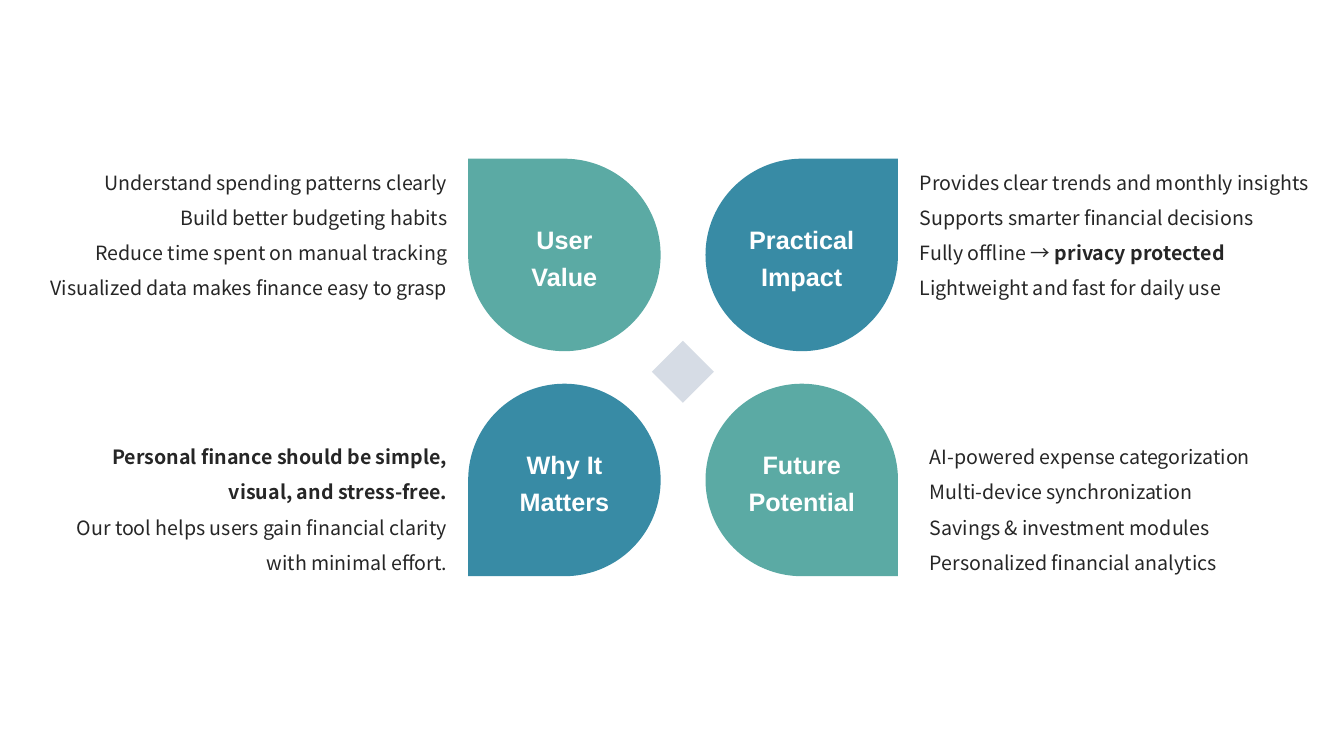
"""Build a four-petal slide on the value and future of a personal finance tool."""
from lxml.etree import SubElement
from pptx import Presentation
from pptx.dml.color import RGBColor
from pptx.enum.shapes import MSO_SHAPE
from pptx.enum.text import MSO_ANCHOR, MSO_AUTO_SIZE, PP_ALIGN
from pptx.oxml.ns import qn
from pptx.util import Cm, Pt

GREEN, BLUE, GREY, INK, WHITE = "5BAAA4", "388BA5", "D6DCE5", "262626", "FFFFFF"
LABEL_FONT, LIST_FONT = "Arial", "Noto Sans CJK SC"

QUADRANTS = [
    {"label": "User Value", "column": 0, "row": 0, "color": GREEN,
     "flip": True, "rotation": 0, "list_left": 0.59, "list_width": 10.69,
     "lines": [[("Understand spending patterns clearly", False)],
               [("Build better budgeting habits", False)],
               [("Reduce time spent on manual tracking", False)],
               [("Visualized data makes finance easy to grasp", False)]]},
    {"label": "Practical Impact", "column": 1, "row": 0, "color": BLUE,
     "flip": False, "rotation": 0, "list_left": 23.18, "list_width": 10.29,
     "lines": [[("Provides clear trends and monthly insights", False)],
               [("Supports smarter financial decisions", False)],
               [("Fully offline → ", False), ("privacy protected", True)],
               [("Lightweight and fast for daily use", False)]]},
    {"label": "Why It Matters", "column": 0, "row": 1, "color": BLUE,
     "flip": True, "rotation": 270, "list_left": 1.35, "list_width": 9.93,
     "lines": [[("Personal finance should be simple, visual, and stress-free.", True)],
               [("Our tool helps users gain financial clarity with minimal effort.", False)]]},
    {"label": "Future Potential", "column": 1, "row": 1, "color": GREEN,
     "flip": False, "rotation": 90, "list_left": 23.43, "list_width": 8.61,
     "lines": [[("AI-powered expense categorization", False)],
               [("Multi-device synchronization", False)],
               [("Savings & investment modules", False)],
               [("Personalized financial analytics", False)]]},
]

PETAL = 4.85
PETAL_LEFTS, PETAL_TOPS = (11.8, 17.78), (4.0, 9.67)
LIST_TOPS, LIST_HEIGHTS = (4.0, 10.92), (4.3, 3.55)
LABEL_WIDTH, LABEL_HEIGHT = 3.58, 2.11
DIAMOND_LEFT, DIAMOND_TOP, DIAMOND = 16.43, 8.59, 1.56


def rgb(color):
    return RGBColor.from_string(color)


def format_paragraph(paragraph, font_name, size, color, alignment, spacing):
    paragraph.alignment = alignment
    paragraph.line_spacing = spacing
    paragraph.font.name = font_name
    paragraph.font.size = Pt(size)
    paragraph.font.color.rgb = rgb(color)


def add_plain_shape(slide, kind, left, top, size, color):
    shape = slide.shapes.add_shape(kind, Cm(left), Cm(top), Cm(size), Cm(size))
    shape.shadow.inherit = False
    shape.fill.solid()
    shape.fill.fore_color.rgb = rgb(color)
    shape.line.fill.background()
    return shape


def fill_list(placeholder, quadrant):
    row = quadrant["row"]
    placeholder.left, placeholder.top = Cm(quadrant["list_left"]), Cm(LIST_TOPS[row])
    placeholder.width, placeholder.height = Cm(quadrant["list_width"]), Cm(LIST_HEIGHTS[row])
    frame = placeholder.text_frame
    frame.margin_left = frame.margin_right = frame.margin_top = frame.margin_bottom = 0
    frame.vertical_anchor = MSO_ANCHOR.TOP
    frame.auto_size = MSO_AUTO_SIZE.NONE
    frame.word_wrap = True
    alignment = PP_ALIGN.LEFT if quadrant["column"] else PP_ALIGN.RIGHT
    for index, line in enumerate(quadrant["lines"]):
        paragraph = frame.add_paragraph() if index else frame.paragraphs[0]
        properties = paragraph._p.get_or_add_pPr()
        properties.set("marL", "0")
        properties.set("indent", "0")
        SubElement(properties, qn("a:buNone"))
        paragraph.space_before = Pt(0)
        format_paragraph(paragraph, LIST_FONT, 14, INK, alignment, 1.5)
        for text, bold in line:
            run = paragraph.add_run()
            run.text = text
            run.font.bold = bold


def add_petal(slide, quadrant):
    left, top = PETAL_LEFTS[quadrant["column"]], PETAL_TOPS[quadrant["row"]]
    petal = add_plain_shape(slide, MSO_SHAPE.TEAR, left, top, PETAL, quadrant["color"])
    petal.rotation = quadrant["rotation"]
    if quadrant["flip"]:
        petal.element.spPr.get_or_add_xfrm().set("flipH", "1")
    holder = petal
    if quadrant["rotation"]:
        holder = slide.shapes.add_textbox(
            Cm(left + (PETAL - LABEL_WIDTH) / 2), Cm(top + (PETAL - LABEL_HEIGHT) / 2),
            Cm(LABEL_WIDTH), Cm(LABEL_HEIGHT))
    frame = holder.text_frame
    frame.word_wrap = True
    frame.vertical_anchor = MSO_ANCHOR.MIDDLE
    paragraph = frame.paragraphs[0]
    paragraph.text = quadrant["label"]
    format_paragraph(paragraph, LABEL_FONT, 18, WHITE, PP_ALIGN.CENTER, 1.2)
    paragraph.font.bold = True


def main():
    presentation = Presentation()
    presentation.slide_width, presentation.slide_height = Cm(33.87), Cm(19.05)
    slide = presentation.slides.add_slide(presentation.slide_layouts.get_by_name("Comparison"))
    title, *bodies = slide.placeholders
    title.element.getparent().remove(title.element)
    for body, quadrant in zip(bodies, QUADRANTS):
        fill_list(body, quadrant)
        add_petal(slide, quadrant)
    add_plain_shape(slide, MSO_SHAPE.DIAMOND, DIAMOND_LEFT, DIAMOND_TOP, DIAMOND, GREY)
    presentation.save("out.pptx")


if __name__ == "__main__":
    main()
